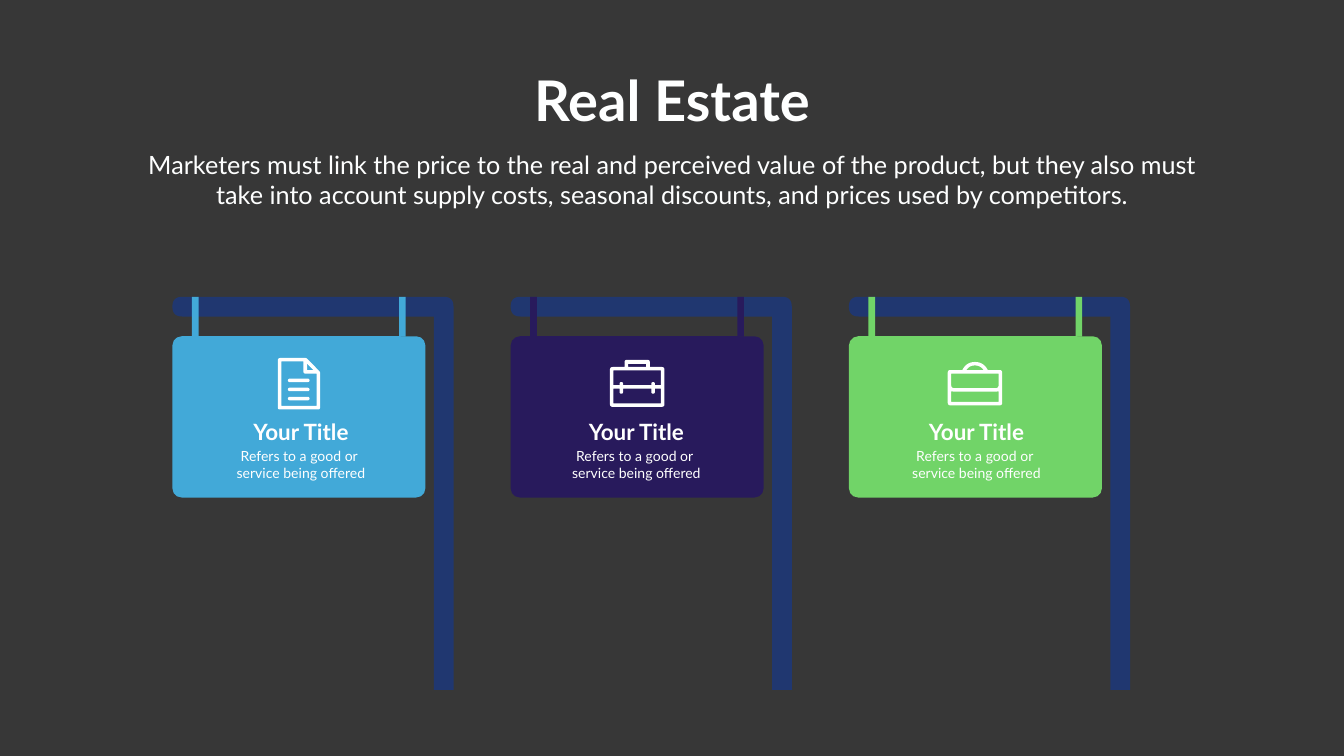
from pptx import Presentation
from pptx.dml.color import RGBColor
from pptx.enum.shapes import MSO_SHAPE
from pptx.enum.text import MSO_AUTO_SIZE, PP_ALIGN
from pptx.util import Pt

RECTANGLE = MSO_SHAPE.RECTANGLE
ROUNDED = MSO_SHAPE.ROUNDED_RECTANGLE
CENTER = PP_ALIGN.CENTER
FIT = MSO_AUTO_SIZE.SHAPE_TO_FIT_TEXT

COLORS = {
    "background": "373737", "heading": "FEFFFF", "white": "FFFFFF",
    "post": "203770", "blue": "42A9D8", "purple": "281A5C", "green": "71D468",
}
FONT = "Lato"
SIGN_TOP, SIGN_WIDTH, SIGN_HEIGHT = 424, 401.5, 561.5
SIGN_LEFT, SIGN_PITCH = 246.25, 483.1
BOARD_TOP, BOARD_WIDTH, BOARD_HEIGHT = 56.4, 361.3, 230.4
BEAM = 28.2


def paint(shape, color):
    """Give a shape a plain fill without line or shadow."""
    shape.fill.solid()
    shape.fill.fore_color.rgb = RGBColor.from_string(COLORS[color])
    shape.line.fill.background()
    shape.shadow.inherit = False


def add_block(page, kind, box, color, corner=None):
    """Draw a preset shape in a box, with an optional corner radius."""
    left, top, width, height = box
    shape = page.shapes.add_shape(kind, Pt(left), Pt(top), Pt(width), Pt(height))
    if corner is not None:
        shape.adjustments[0] = corner / min(width, height)
    paint(shape, color)


def toward(start, end, distance):
    """Return the point at a distance from start on the way to end."""
    dx, dy = end[0] - start[0], end[1] - start[1]
    share = distance / (dx * dx + dy * dy) ** 0.5
    return start[0] + dx * share, start[1] + dy * share


def round_corners(corners, steps=8):
    """Turn (x, y, radius) corners into points along a smooth outline."""
    points = []
    for index, corner in enumerate(corners):
        x, y, radius = (*corner, 0)[:3]
        if not radius:
            points.append((x, y))
            continue
        first = toward((x, y), corners[index - 1], radius)
        last = toward((x, y), corners[(index + 1) % len(corners)], radius)
        for step in range(steps + 1):
            t = step / steps
            a, b, c = (1 - t) ** 2, 2 * t * (1 - t), t * t
            points.append((a * first[0] + b * x + c * last[0],
                           a * first[1] + b * y + c * last[1]))
    return points


def add_outline(page, left, top, contours, color):
    """Draw one freeform from contours relative to a corner; inner ones are holes."""
    builder = None
    for contour in contours:
        points = [(Pt(left + x), Pt(top + y)) for x, y in round_corners(contour)]
        if builder is None:
            builder = page.shapes.build_freeform(*points[0])
        else:
            builder.move_to(*points[0])
        builder.add_line_segments(points[1:], close=True)
    paint(builder.convert_to_shape(), color)


def add_text(page, box, lines, size, color, bold=False, wrap=True):
    """Place centred lines of text in a box."""
    shape = page.shapes.add_textbox(*map(Pt, box))
    frame = shape.text_frame
    frame.word_wrap = wrap
    frame.auto_size = FIT
    for index, line in enumerate(lines):
        para = frame.add_paragraph() if index else frame.paragraphs[0]
        para.alignment = CENTER
        span = para.add_run()
        span.text = line
        span.font.name = FONT
        span.font.size = Pt(size)
        span.font.bold = bold
        span.font.color.rgb = RGBColor.from_string(COLORS[color])


def draw_document(page, left, top):
    """Draw a sheet with a folded corner and three text lines."""
    left, top = left + 150.5, top + 31
    sheet = [(0, 0, 4), (41, 0, 2), (60.5, 20, 2), (60.5, 73.5, 3), (0, 73.5, 3)]
    inside = [(5, 5), (36.7, 5), (36.7, 22.3, 3), (55.4, 22.3), (55.4, 68.4), (5, 68.4)]
    fold = [(41.8, 17.3), (41.8, 7.9), (51, 17.3)]
    add_outline(page, left, top, [sheet, inside, fold], "white")
    for row in range(3):
        box = left + 14.4, top + 29.5 + 13 * row, 31, 5
        add_block(page, ROUNDED, box, "white", 2.5)


def draw_briefcase(page, left, top):
    """Draw a briefcase with a square handle and two clasps."""
    case = [(0, 10.1, 4), (20.9, 10.1), (20.9, 0, 3), (56.9, 0, 3), (56.9, 10.1),
            (77.8, 10.1, 4), (77.8, 67, 4), (0, 67, 4)]
    handle = [(25.9, 5.8), (51.8, 5.8), (51.8, 10.1), (25.9, 10.1)]

    def compartment(edge, clasp, seam):
        """Return one half of the case, notched where the clasps sit."""
        notches = [point for right in (64.1, 18.7) for point in (
            (right, seam), (right, clasp, 2.5), (right - 5, clasp, 2.5), (right - 5, seam))]
        return [(5, edge), (72.7, edge), (72.7, seam), *notches, (5, seam)]

    halves = [compartment(15.1, 31.7, 36), compartment(62, 48.2, 41)]
    add_outline(page, left + 141.8, top + 33.8, [case, handle, *halves], "white")


def draw_bag(page, left, top):
    """Draw a bag with a round handle and a flap."""
    bag = [(0, 11.5, 4), (20.9, 11.5), (27.5, 0, 11.5), (50.4, 0, 11.5), (57.2, 11.5),
           (77.8, 11.5, 4), (77.8, 62, 4), (0, 62, 4)]
    handle = [(26.6, 11.5), (31, 5, 7.7), (46.8, 5, 7.7), (51.1, 11.5)]
    flap = [(5, 16.6), (72.7, 16.6), (72.7, 37.4, 4.5), (5, 37.4, 4.5)]
    pocket = [(5, 41.8), (9, 42.5), (68.7, 42.5), (72.7, 41.8), (72.7, 56.9), (5, 56.9)]
    add_outline(page, left + 141.1, top + 36.7, [bag, handle, flap, pocket], "white")


def draw_sign(page, box, color, draw_icon, caption_center):
    """Draw a post with a hanging board, its icon and its caption."""
    left, top, width, height = box
    post = [(0, 0, 14), (width, 0, 14), (width, height), (width - BEAM, height),
            (width - BEAM, BEAM), (0, BEAM, 14)]
    add_outline(page, left, top, [post], "post")
    for offset in (27.8, 323.7):
        add_block(page, RECTANGLE, (left + offset, top, 9.5, 57), color)
    board_top = top + BOARD_TOP
    add_block(page, ROUNDED, (left, board_top, BOARD_WIDTH, BOARD_HEIGHT), color, 13.2)
    draw_icon(page, left, board_top)
    middle = left + caption_center
    add_text(page, (middle - 83, board_top + 113, 166, 46), ["Your Title"],
             32, "white", bold=True)
    add_text(page, (middle - 100, board_top + 156, 200, 55.5),
             ["Refers to a good or ", "service being offered"], 20, "white")


def draw_heading(page, box):
    """Place the slide title and the paragraph below it."""
    left, top, width, _ = box
    add_text(page, (left + (width - 419) / 2, top, 419, 104.4), ["Real Estate"],
             80, "heading", bold=True, wrap=False)
    add_text(page, (left, top + 118.8, width, 94.3),
             ["Marketers must link the price to the real and perceived value of the "
              "product, but they also must take into account supply costs, seasonal "
              "discounts, and prices used by competitors."], 36, "heading")


def main():
    """Build the slide and save it."""
    deck = Presentation()
    deck.slide_width, deck.slide_height = Pt(1919.52), Pt(1080)
    page = deck.slides.add_slide(deck.slide_layouts[6])
    page.background.fill.solid()
    page.background.fill.fore_color.rgb = RGBColor.from_string(COLORS["background"])
    signs = [("blue", draw_document, 183.6), ("purple", draw_briefcase, 179.6),
             ("green", draw_bag, 182.2)]
    for index, (color, draw_icon, caption_center) in enumerate(signs):
        box = SIGN_LEFT + index * SIGN_PITCH, SIGN_TOP, SIGN_WIDTH, SIGN_HEIGHT
        draw_sign(page, box, color, draw_icon, caption_center)
    draw_heading(page, (193, 90.7, 1533.6, 213.1))
    deck.save("out.pptx")


if __name__ == "__main__":
    main()
